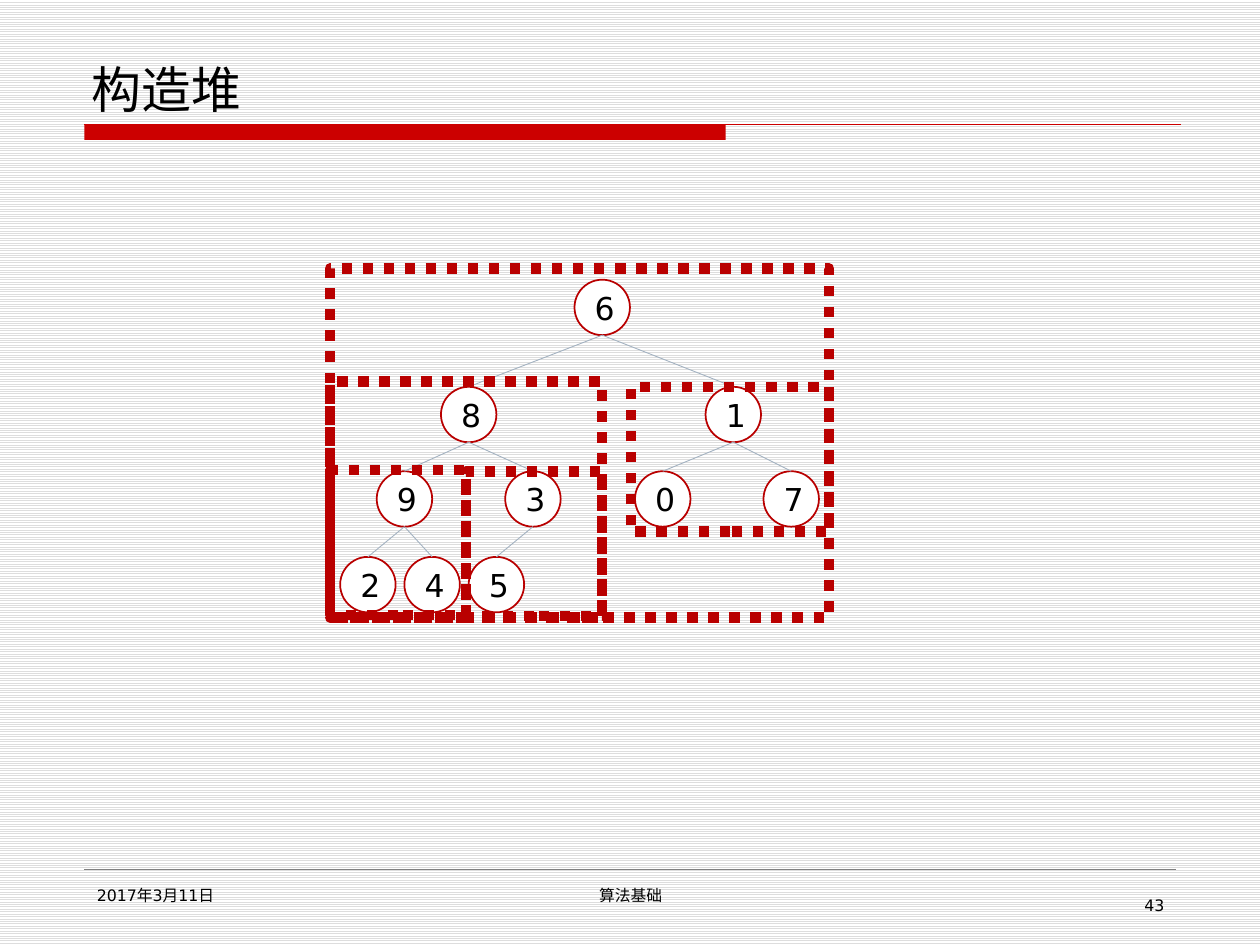
from lxml import etree
from pptx import Presentation
from pptx.dml.color import RGBColor
from pptx.enum.dml import MSO_LINE as Dash, MSO_PATTERN as Pattern
from pptx.enum.shapes import MSO_CONNECTOR as Conn, MSO_SHAPE as Shape
from pptx.enum.text import MSO_ANCHOR as Anchor, PP_ALIGN as Align
from pptx.oxml.ns import qn
from pptx.util import Inches, Pt

FONT = "DejaVu Sans"
BLACK = RGBColor(0x00, 0x00, 0x00)
WHITE = RGBColor(0xFF, 0xFF, 0xFF)
STRIPE = RGBColor(0xDD, 0xDD, 0xDD)
RED = RGBColor(0xCC, 0x00, 0x00)
DARK = RGBColor(0xB9, 0x00, 0x00)
EDGE = RGBColor(0xA3, 0xB2, 0xC1)
GRAY = RGBColor(0x80, 0x80, 0x80)

SIZE = 0.44  # node diameter

# Heap in level order: value, left, top; children of i are 2i+1 and 2i+2
HEAP = [
    ("6", 4.56, 2.22),
    ("8", 3.5, 3.07), ("1", 5.6, 3.07),
    ("9", 2.99, 3.74), ("3", 4.01, 3.74), ("0", 5.04, 3.74), ("7", 6.06, 3.74),
    ("2", 2.7, 4.42), ("4", 3.21, 4.42), ("5", 3.72, 4.42),
]

# Subtrees in the order they are heapified
FRAMES = [
    (3.7, 3.74, 1.08, 1.15),
    (2.62, 3.73, 1.08, 1.15),
    (5.01, 3.07, 1.57, 1.15),
    (2.62, 3.03, 2.16, 1.87),
    (2.62, 2.13, 3.96, 2.77),
]


def put_text(frame, text, size=9, align=Align.LEFT, anchor=Anchor.TOP):
    frame.word_wrap = True
    frame.vertical_anchor = anchor
    para = frame.paragraphs[0]
    para.alignment = align
    run = para.add_run()
    run.text = text
    font = run.font
    font.name, font.size, font.color.rgb = FONT, Pt(size), BLACK
    east = etree.SubElement(run._r.get_or_add_rPr(), qn("a:ea"))
    east.set("typeface", FONT)


def add_label(slide, box, text, **style):
    label = slide.shapes.add_textbox(*map(Inches, box))
    put_text(label.text_frame, text, **style)


def add_line(slide, start, end, color, width):
    line = slide.shapes.add_connector(
        Conn.STRAIGHT, *map(Inches, (*start, *end)))
    line.line.color.rgb = color
    line.line.width = Pt(width)
    etree.SubElement(line._element.spPr, qn("a:effectLst"))


def add_form(slide, kind, box, fill=None, color=None, width=1):
    form = slide.shapes.add_shape(kind, *map(Inches, box))
    form.shadow.inherit = False
    if fill is None:
        form.fill.background()
    else:
        form.fill.solid()
        form.fill.fore_color.rgb = fill
    if color is None:
        form.line.fill.background()
    else:
        form.line.color.rgb = color
        form.line.width = Pt(width)
    return form


def add_node(slide, value, left, top):
    node = add_form(slide, Shape.OVAL, (left, top, SIZE, SIZE), WHITE, DARK)
    frame = node.text_frame
    frame.margin_left = Inches(0.04)
    frame.margin_right = frame.margin_top = frame.margin_bottom = 0
    put_text(frame, value, size=18, align=Align.CENTER, anchor=Anchor.MIDDLE)


def add_edge(slide, parent, child):
    _, left, top = parent
    _, x, y = child
    add_line(slide, (left + SIZE / 2, top + SIZE), (x + SIZE / 2, y), EDGE, 0.5)


def add_frame(slide, box):
    frame = add_form(slide, Shape.RECTANGLE, box, color=DARK, width=6)
    frame.line.dash_style = Dash.ROUND_DOT


def main():
    deck = Presentation()
    deck.slide_width, deck.slide_height = Inches(10), Inches(7.5)
    slide = deck.slides.add_slide(deck.slide_layouts[6])

    # Striped background
    fill = slide.background.fill
    fill.patterned()
    fill.pattern = Pattern.LIGHT_HORIZONTAL
    fill.fore_color.rgb = STRIPE
    fill.back_color.rgb = WHITE

    # Title and rules
    add_form(slide, Shape.RECTANGLE, (0.67, 0.99, 5.09, 0.12), RED)
    add_line(slide, (0.67, 0.99), (9.37, 0.99), RED, 0.75)
    add_line(slide, (0.67, 6.9), (9.33, 6.9), GRAY, 0.25)
    add_label(slide, (0.63, 0.33, 8.75, 0.66), "构造堆",
              size=28.5, anchor=Anchor.BOTTOM)

    # Footer
    add_label(slide, (0.67, 6.98, 2.17, 0.37), "2017年3月11日")
    add_label(slide, (3.42, 6.98, 3.17, 0.37), "算法基础", align=Align.CENTER)
    add_label(slide, (7.17, 7.06, 2.17, 0.29), "43", align=Align.RIGHT)

    # Heap tree
    for node in HEAP:
        add_node(slide, *node)
    for i, child in enumerate(HEAP[1:]):
        add_edge(slide, HEAP[i // 2], child)

    # Subtree frames
    for box in FRAMES:
        add_frame(slide, box)

    deck.save("out.pptx")


if __name__ == "__main__":
    main()
